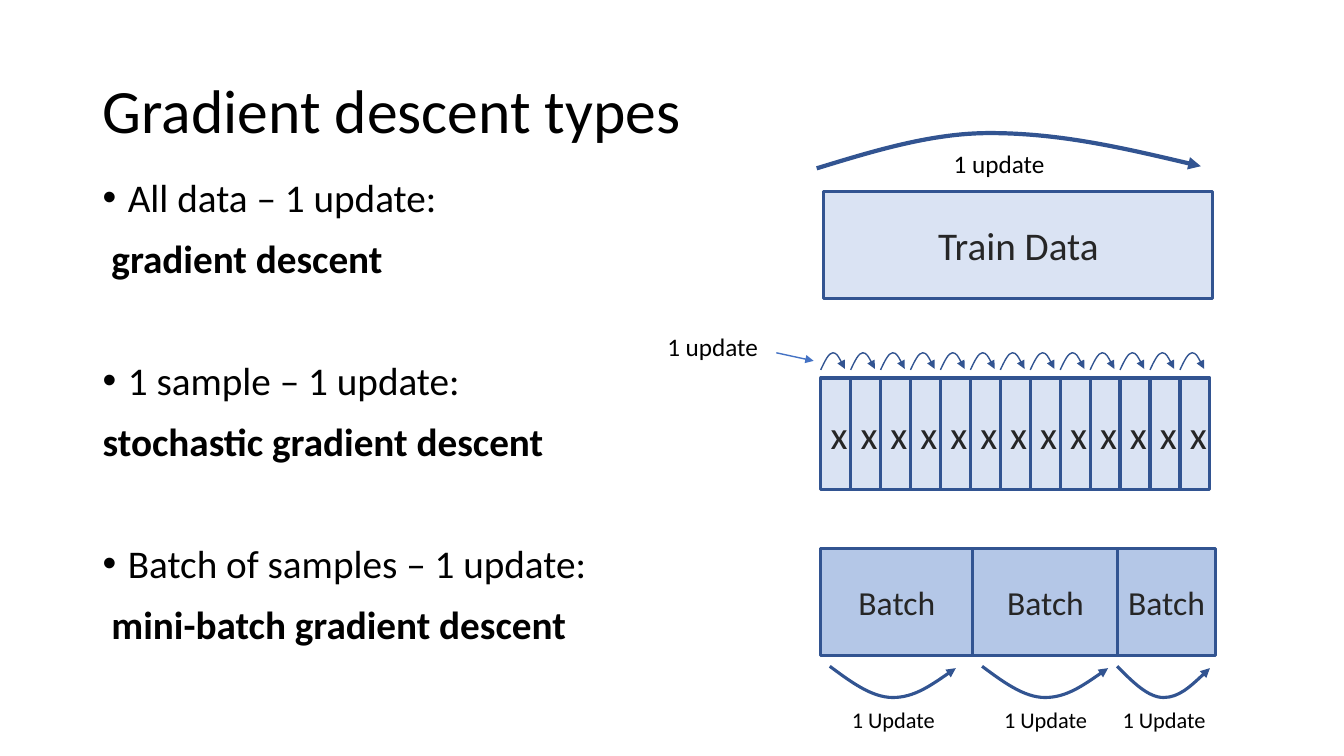
from lxml import etree
from pptx import Presentation
from pptx.dml.color import RGBColor
from pptx.enum import shapes, text
from pptx.oxml.ns import qn
from pptx.util import Inches, Pt

BLACK = RGBColor(0x00, 0x00, 0x00)
CHARCOAL = RGBColor(0x26, 0x26, 0x26)
NAVY = RGBColor(0x32, 0x54, 0x91)
BLUE = RGBColor(0x44, 0x72, 0xC4)
PALE_BLUE = RGBColor(0xDA, 0xE3, 0xF3)
LIGHT_BLUE = RGBColor(0xB4, 0xC7, 0xE7)
FONT = "Calibri"

TYPES = [
    ("All data – 1 update:", " gradient descent"),
    ("1 sample – 1 update:", "stochastic gradient descent"),
    ("Batch of samples – 1 update:", " mini-batch gradient descent"),
]
# left and width of each batch, left and width of its arc, left and width of its label
BATCHES = [
    (8.14, 1.51, 8.23, 1.25, 8.14, 1.44),
    (9.65, 1.44, 9.74, 1.25, 9.65, 1.44),
    (11.08, 0.98, 11.08, 0.92, 11.02, 1.05),
]
SAMPLE_COUNT = 13
SAMPLE_LEFT = 8.14
SAMPLE_RIGHT = 12.0
SAMPLE_PITCH = (SAMPLE_RIGHT - SAMPLE_LEFT) / SAMPLE_COUNT


def style_runs(paragraph, size, color, bold=False):
    for run in paragraph.runs:
        run.font.name = FONT
        run.font.size = Pt(size)
        run.font.color.rgb = color
        run.font.bold = bold


def add_label(slide, words, left, top, width, height, size, align=text.PP_ALIGN.LEFT):
    label = slide.shapes.add_textbox(Inches(left), Inches(top), Inches(width), Inches(height))
    frame = label.text_frame
    frame.word_wrap = True
    frame.text = words
    frame.paragraphs[0].alignment = align
    style_runs(frame.paragraphs[0], size, BLACK)
    return frame


def add_block(slide, words, left, top, width, height, size, fill):
    block = slide.shapes.add_shape(
        shapes.MSO_SHAPE.RECTANGLE, Inches(left), Inches(top), Inches(width), Inches(height))
    block.shadow.inherit = False
    block.fill.solid()
    block.fill.fore_color.rgb = fill
    block.line.color.rgb = NAVY
    block.line.width = Pt(2.25)
    frame = block.text_frame
    frame.vertical_anchor = text.MSO_ANCHOR.MIDDLE
    frame.text = words
    frame.paragraphs[0].alignment = text.PP_ALIGN.CENTER
    style_runs(frame.paragraphs[0], size, CHARCOAL)


def style_arrow(arrow, color, weight):
    arrow.line.color.rgb = color
    arrow.line.width = Pt(weight)
    outline = arrow.element.spPr.find(qn("a:ln"))
    etree.SubElement(outline, qn("a:tailEnd"), type="triangle")


def bend_segments(outline):
    """Turn every three straight segments into one cubic curve."""
    segments = list(outline.element.spPr.iter(qn("a:lnTo")))
    for first in range(0, len(segments), 3):
        curve = etree.Element(qn("a:cubicBezTo"))
        segments[first].addprevious(curve)
        for segment in segments[first:first + 3]:
            curve.append(segment[0])
            segment.getparent().remove(segment)


def add_arc(slide, left, base, width, rise, weight, peak=0.5):
    """Draw a curved arrow; a negative rise hangs it below the base."""
    fall = 1 - peak
    across = (0, peak / 3, peak * 2 / 3, peak, peak + fall / 3, peak + fall * 2 / 3, 1)
    up = (0, 0.5, 1, 1, 1, 0.53, 0.06)
    controls = [(Inches(left + width * x), Inches(base - rise * y)) for x, y in zip(across, up)]
    builder = slide.shapes.build_freeform(*controls[0])
    builder.add_line_segments(controls[1:], close=False)
    arc = builder.convert_to_shape()
    bend_segments(arc)
    arc.shadow.inherit = False
    arc.fill.background()
    style_arrow(arc, NAVY, weight)


def add_pointer(slide, x1, y1, x2, y2):
    pointer = slide.shapes.add_connector(
        shapes.MSO_CONNECTOR.STRAIGHT, Inches(x1), Inches(y1), Inches(x2), Inches(y2))
    style_arrow(pointer, BLUE, 1)
    etree.SubElement(pointer.element.spPr, qn("a:effectLst"))


def add_bullet(paragraph):
    properties = paragraph._p.get_or_add_pPr()
    properties.set("marL", str(Inches(0.25)))
    properties.set("indent", str(-Inches(0.25)))
    etree.SubElement(properties, qn("a:buFont"), typeface="Arial")
    etree.SubElement(properties, qn("a:buChar"), char="•")


def add_types(slide):
    body = slide.shapes.add_textbox(Inches(0.92), Inches(1.67), Inches(11.5), Inches(5.66))
    frame = body.text_frame
    frame.word_wrap = True
    for index, (rule, method) in enumerate(TYPES):
        heading = frame.add_paragraph() if index else frame.paragraphs[0]
        heading.text = rule
        add_bullet(heading)
        if index:
            heading.space_before = Pt(53.5)
        style_runs(heading, 28, BLACK)
        name = frame.add_paragraph()
        name.text = method
        name.space_before = Pt(10)
        style_runs(name, 28, BLACK, bold=True)


def add_full_data(slide):
    add_block(slide, "Train Data", 8.17, 1.9, 3.86, 1.06, 28, PALE_BLUE)
    add_arc(slide, 8.1, 1.67, 3.81, 0.35, 3, peak=0.45)
    add_label(slide, "1 update", 9.36, 1.42, 1.38, 0.4, 18)


def add_samples(slide):
    lefts = [SAMPLE_LEFT + SAMPLE_PITCH * i for i in range(SAMPLE_COUNT)]
    for left in lefts:
        add_block(slide, "x", left, 3.75, SAMPLE_PITCH, 1.11, 28, PALE_BLUE)
    for left in lefts:
        add_arc(slide, left, 3.67, 0.24, 0.17, 1)
    add_pointer(slide, 7.7, 3.5, 8.07, 3.58)
    add_label(slide, "1 update", 6.52, 3.24, 1.23, 0.4, 18)


def add_batches(slide):
    for left, width, arc_left, arc_width, label_left, label_width in BATCHES:
        add_block(slide, "Batch", left, 5.44, width, 1.06, 24, LIGHT_BLUE)
        add_arc(slide, arc_left, 6.61, arc_width, -0.31, 2.25)
        add_label(slide, "1 Update", label_left, 6.96, label_width, 0.22, 16,
                  text.PP_ALIGN.CENTER)


def main():
    deck = Presentation()
    deck.slide_width = Inches(13.33)
    deck.slide_height = Inches(7.5)
    slide = deck.slides.add_slide(deck.slide_layouts[6])
    title = add_label(slide, "Gradient descent types", 0.92, 0.4, 11.5, 1.45, 44)
    title.vertical_anchor = text.MSO_ANCHOR.MIDDLE
    title.paragraphs[0].line_spacing = 0.9
    add_types(slide)
    add_full_data(slide)
    add_samples(slide)
    add_batches(slide)
    deck.save("out.pptx")


if __name__ == "__main__":
    main()
